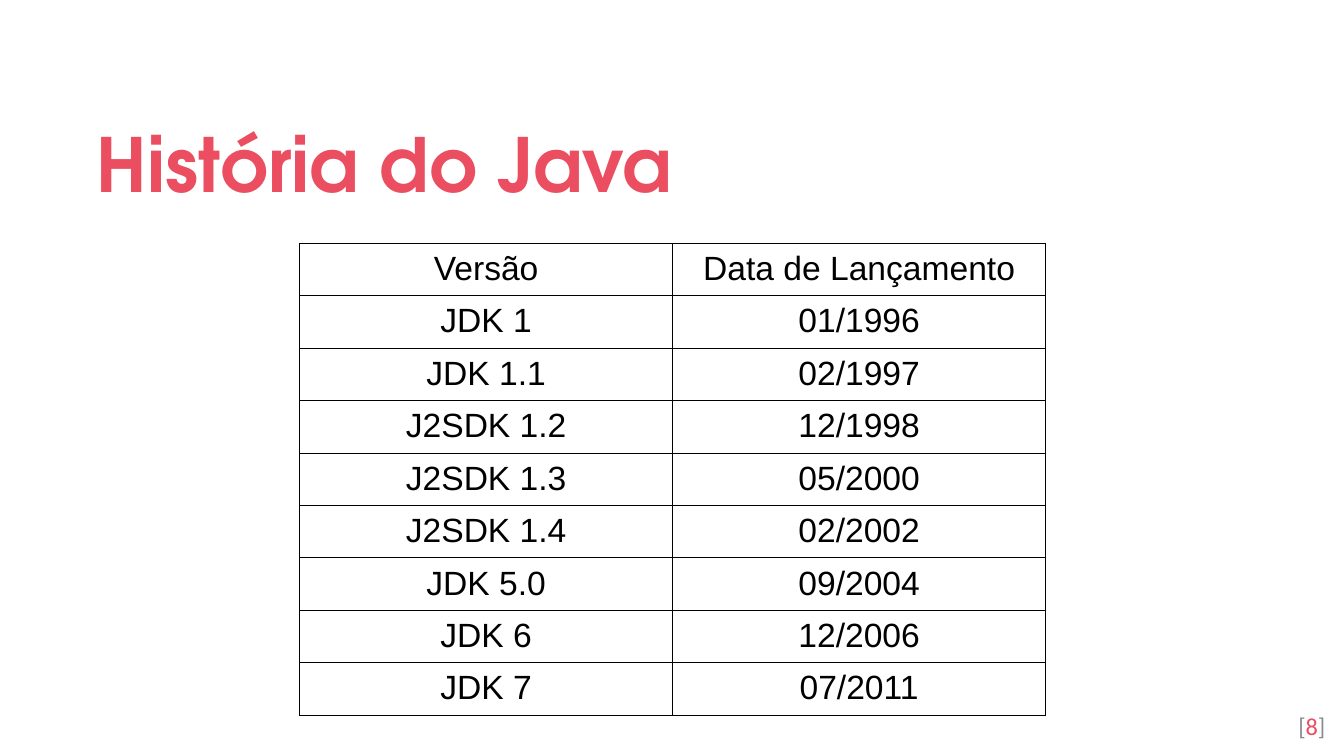
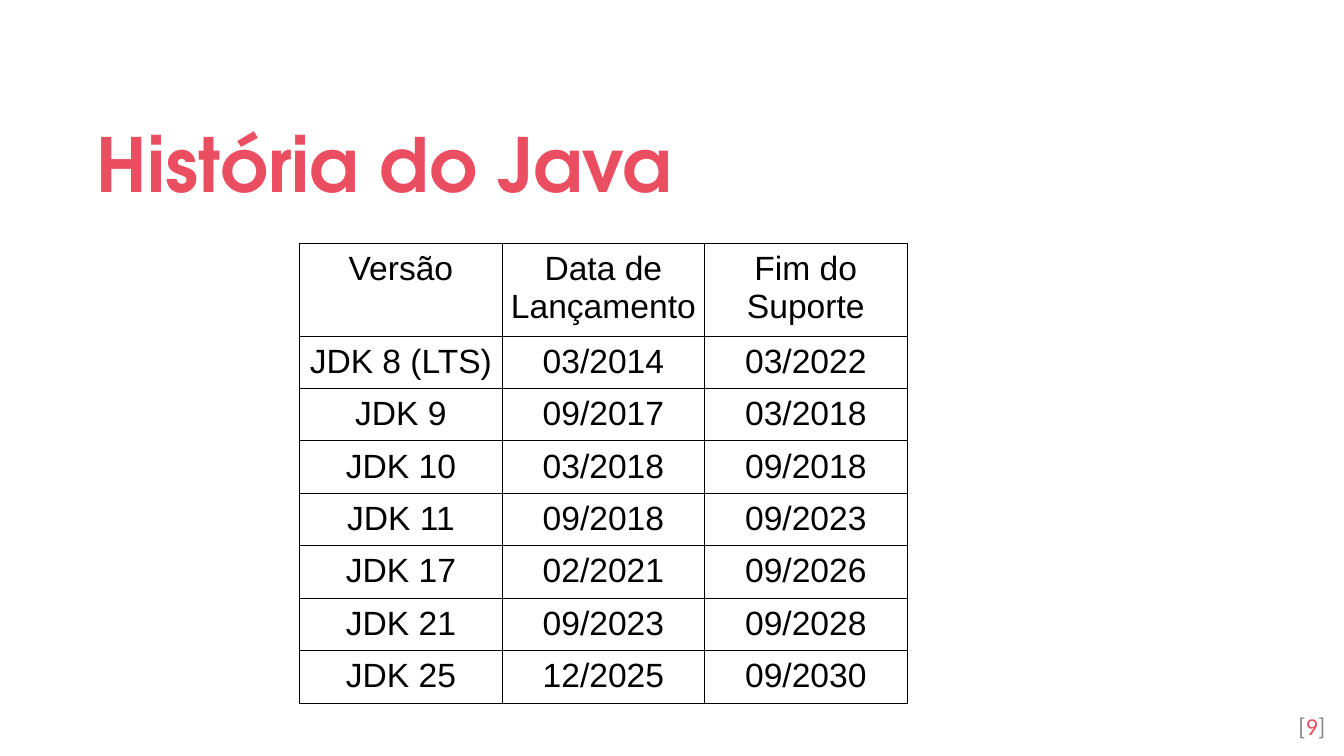
"""Build two slides with tables of Java release dates."""
from dataclasses import dataclass

from lxml.etree import SubElement as Sub
from pptx import Presentation
from pptx.dml.color import RGBColor as RGB
from pptx.enum.text import MSO_ANCHOR as Anchor, PP_ALIGN as Align
from pptx.oxml import parse_xml
from pptx.oxml.ns import nsdecls, qn
from pptx.util import Inches, Pt

TITLE = "História do Java"
FIRST = 8
TABLES = [
    {"width": 5.55, "head": 0.38, "rows": [
        ("Versão", "Data de Lançamento"),
        ("JDK 1", "01/1996"),
        ("JDK 1.1", "02/1997"),
        ("J2SDK 1.2", "12/1998"),
        ("J2SDK 1.3", "05/2000"),
        ("J2SDK 1.4", "02/2002"),
        ("JDK 5.0", "09/2004"),
        ("JDK 6", "12/2006"),
        ("JDK 7", "07/2011"),
    ]},
    {"width": 4.52, "head": 0.66, "rows": [
        ("Versão", "Data de Lançamento", "Fim do Suporte"),
        ("JDK 8 (LTS)", "03/2014", "03/2022"),
        ("JDK 9", "09/2017", "03/2018"),
        ("JDK 10", "03/2018", "09/2018"),
        ("JDK 11", "09/2018", "09/2023"),
        ("JDK 17", "02/2021", "09/2026"),
        ("JDK 21", "09/2023", "09/2028"),
        ("JDK 25", "12/2025", "09/2030"),
    ]},
]


@dataclass(frozen=True)
class Theme:
    """Fonts, sizes, colours and places shared by the slides."""
    back: str = "FFFFFF"
    accent: str = "EA4E60"
    grey: str = "8B8B8D"
    ink: str = "000000"
    title: tuple = ("TeX Gyre Adventor", 40)
    page: tuple = ("Calibri", 13)
    cell: tuple = ("Arial", 18)
    wide: float = 10
    high: float = 10 * 9 / 16
    left: float = 2.23
    top: float = 1.81
    row: float = 0.38
    rule: float = 0.57


T = Theme()


def add_run(para, text, font, color, bold=False):
    """Add one styled run."""
    run = para.add_run()
    run.text = text
    run.font.name, size = font
    run.font.size = Pt(size)
    run.font.bold = bold
    run.font.color.rgb = RGB.from_string(color)


def add_box(slide, left, top, width, height, anchor, align):
    """Add a text box and return its first paragraph."""
    box = slide.shapes.add_textbox(*map(Inches, (left, top, width, height)))
    frame = box.text_frame
    frame.word_wrap = True
    frame.vertical_anchor = anchor
    frame.margin_left = frame.margin_right = Inches(0.1)
    frame.margin_top = frame.margin_bottom = Inches(0.1)
    para = frame.paragraphs[0]
    para.alignment = align
    return para


def add_edges(cell):
    """Rule all four sides of a cell."""
    props = cell._tc.get_or_add_tcPr()
    for spot, side in enumerate("LRTB"):
        line = parse_xml(f'<a:ln{side} {nsdecls("a")} w="{Pt(T.rule)}"/>')
        fill = Sub(line, qn("a:solidFill"))
        Sub(fill, qn("a:srgbClr"), val=T.ink)
        props.insert(spot, line)


def add_grid(slide, width, head, rows):
    """Add a ruled table with equal columns."""
    count = len(rows[0])
    high = head + T.row * (len(rows) - 1)
    place = map(Inches, (T.left, T.top, width, high))
    table = slide.shapes.add_table(len(rows), count, *place).table
    table.first_row = table.horz_banding = False
    for col in table.columns:
        col.width = Inches(width / count)
    for r, row in enumerate(rows):
        table.rows[r].height = Inches(T.row if r else head)
        for c, text in enumerate(row):
            cell = table.cell(r, c)
            cell.fill.background()
            cell.margin_left = cell.margin_right = Inches(0.04)
            cell.margin_top, cell.margin_bottom = Inches(0.05), Inches(0.04)
            para = cell.text_frame.paragraphs[0]
            para.alignment = Align.CENTER
            add_run(para, text, T.cell, T.ink)
            add_edges(cell)


def add_page(deck, number, data):
    """Add a slide with its title, page number and table."""
    slide = deck.slides.add_slide(deck.slide_layouts[6])
    slide.background.fill.solid()
    slide.background.fill.fore_color.rgb = RGB.from_string(T.back)
    para = add_box(slide, 0.62, 0.7, T.wide - 2 * 0.62, 0.92,
                   Anchor.MIDDLE, Align.LEFT)
    para.line_spacing = 1.15
    add_run(para, TITLE, T.title, T.accent, True)
    para = add_box(slide, 9.36, 5.19, 0.6, 0.43, Anchor.TOP, Align.RIGHT)
    for text, color in (("[", T.grey), (str(number), T.accent), ("]", T.grey)):
        add_run(para, text, T.page, color)
    add_grid(slide, **data)


def main():
    """Build and save the deck."""
    deck = Presentation()
    deck.slide_width, deck.slide_height = Inches(T.wide), Inches(T.high)
    for number, data in enumerate(TABLES, FIRST):
        add_page(deck, number, data)
    deck.save("out.pptx")


if __name__ == "__main__":
    main()
